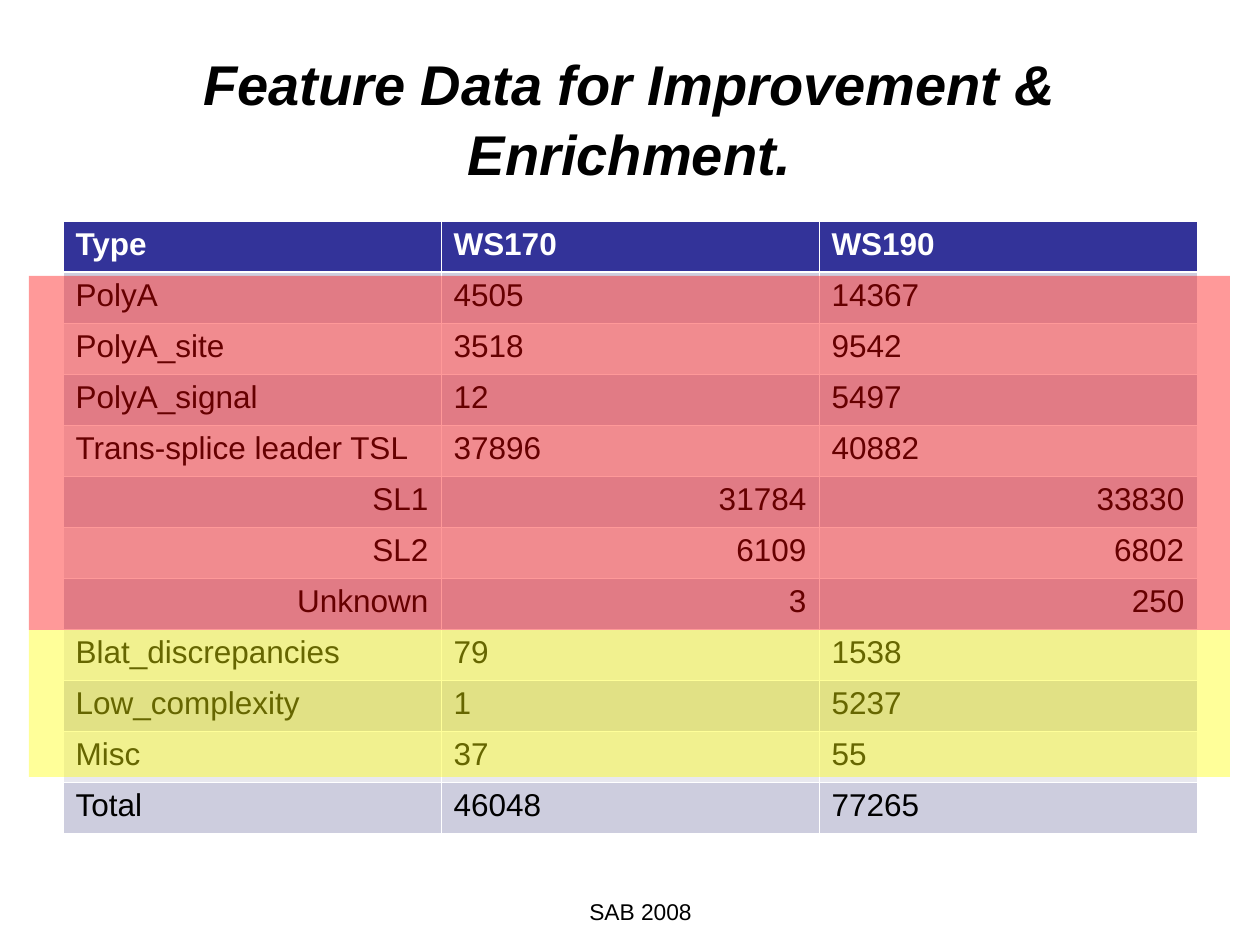
from lxml import etree
from pptx import Presentation
from pptx.dml.color import RGBColor
from pptx.enum.shapes import MSO_SHAPE
from pptx.enum.text import MSO_ANCHOR, PP_ALIGN
from pptx.oxml.ns import qn
from pptx.util import Emu, Pt

PX = 914400 // 126
FONT = "Arial"
COLORS = {
    "text": "000000",
    "white": "FFFFFF",
    "header": "333399",
    "odd_row": "CDCDDE",
    "even_row": "E8E8EF",
    "transcript": "FF0000",
    "other": "FFFF00",
}
FEATURES = [
    ("Type", "WS170", "WS190"),
    ("PolyA", "4505", "14367"),
    ("PolyA_site", "3518", "9542"),
    ("PolyA_signal", "12", "5497"),
    ("Trans-splice leader TSL", "37896", "40882"),
    ("SL1", "31784", "33830"),
    ("SL2", "6109", "6802"),
    ("Unknown", "3", "250"),
    ("Blat_discrepancies", "79", "1538"),
    ("Low_complexity", "1", "5237"),
    ("Misc", "37", "55"),
    ("Total", "46048", "77265"),
]
SUBTYPES = {"SL1", "SL2", "Unknown"}
COLUMN_WIDTH, ROW_HEIGHT = 378, 51


def px(*lengths):
    return [Emu(length * PX) for length in lengths]


def rgb(name):
    return RGBColor.from_string(COLORS[name])


def write(paragraph, text, size, color="text", bold=False, italic=False,
          align=PP_ALIGN.LEFT):
    paragraph.alignment = align
    run = paragraph.add_run()
    run.text = text
    font = run.font
    font.name, font.size = FONT, Pt(size)
    font.bold, font.italic = bold, italic
    font.color.rgb = rgb(color)


def add_centered_text(slide, box, text, size, anchor=MSO_ANCHOR.TOP,
                      line_spacing=1.0, **style):
    frame = slide.shapes.add_textbox(*px(*box)).text_frame
    frame.word_wrap = True
    frame.vertical_anchor = anchor
    paragraph = frame.paragraphs[0]
    paragraph.line_spacing = line_spacing
    write(paragraph, text, size, align=PP_ALIGN.CENTER, **style)


def set_borders(cell, widths):
    """Draw white cell borders; widths maps each side tag to points."""
    properties = cell._tc.get_or_add_tcPr()
    for position, (side, width) in enumerate(widths.items()):
        line = etree.Element(qn(f"a:{side}"), w=str(Pt(width)))
        fill = etree.SubElement(line, qn("a:solidFill"))
        etree.SubElement(fill, qn("a:srgbClr"), val=COLORS["white"])
        properties.insert(position, line)


def add_feature_table(slide, left, top):
    rows, columns = len(FEATURES), len(FEATURES[0])
    table = slide.shapes.add_table(
        rows, columns,
        *px(left, top, columns * COLUMN_WIDTH, rows * ROW_HEIGHT)).table
    for column in table.columns:
        column.width = px(COLUMN_WIDTH)[0]
    for index, values in enumerate(FEATURES):
        table.rows[index].height = px(ROW_HEIGHT)[0]
        is_header = index == 0
        row_fill = "header" if is_header else ("even_row", "odd_row")[index % 2]
        align = PP_ALIGN.RIGHT if values[0] in SUBTYPES else PP_ALIGN.LEFT
        borders = {
            "lnL": 0.45,
            "lnR": 0.45,
            "lnT": 1.47 if index == 1 else 0.45,
            "lnB": 1.47 if is_header else 0.45,
        }
        for cell, value in zip(table.rows[index].cells, values):
            cell.fill.solid()
            cell.fill.fore_color.rgb = rgb(row_fill)
            set_borders(cell, borders)
            write(cell.text_frame.paragraphs[0], value, 18,
                  "white" if is_header else "text", bold=is_header, align=align)


def add_highlight(slide, top, height, color, opacity=40):
    band = slide.shapes.add_shape(MSO_SHAPE.RECTANGLE, *px(29, top, 1201, height))
    band.shadow.inherit = False
    band.line.fill.background()
    band.fill.solid()
    band.fill.fore_color.rgb = rgb(color)
    tint = band._element.spPr.find(qn("a:solidFill")).find(qn("a:srgbClr"))
    etree.SubElement(tint, qn("a:alpha"), val=str(opacity * 1000))


def main():
    presentation = Presentation()
    presentation.slide_width, presentation.slide_height = px(1260, 945)
    slide = presentation.slides.add_slide(presentation.slide_layouts[6])
    add_centered_text(slide, (63, 38, 1134, 157),
                      "Feature Data for Improvement & Enrichment.", 32,
                      anchor=MSO_ANCHOR.MIDDLE, line_spacing=1.04,
                      bold=True, italic=True)
    add_feature_table(slide, 63, 221)
    add_centered_text(slide, (399, 892, 483, 63), "SAB 2008", 13)
    add_highlight(slide, 276, 354, "transcript")
    add_highlight(slide, 630, 147, "other")
    presentation.save("out.pptx")


if __name__ == "__main__":
    main()
